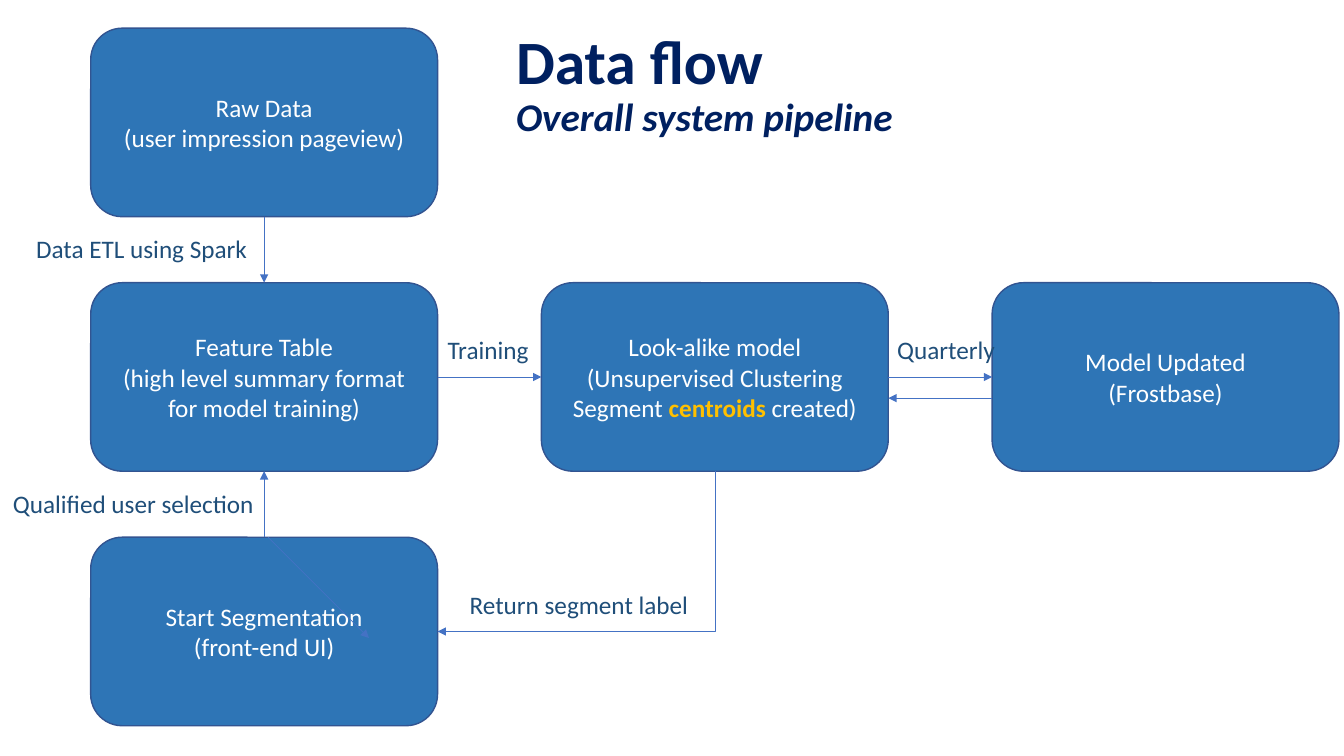
from pptx import Presentation
from pptx.dml.color import RGBColor
from pptx.enum.shapes import MSO_CONNECTOR, MSO_SHAPE
from pptx.enum.text import MSO_ANCHOR, MSO_AUTO_SIZE, PP_ALIGN
from pptx.oxml.ns import qn
from pptx.util import Inches, Pt
from lxml import etree

ROUNDED = MSO_SHAPE.ROUNDED_RECTANGLE
STRAIGHT, ELBOW = MSO_CONNECTOR.STRAIGHT, MSO_CONNECTOR.ELBOW
MIDDLE, CENTER = MSO_ANCHOR.MIDDLE, PP_ALIGN.CENTER
FIT = MSO_AUTO_SIZE.SHAPE_TO_FIT_TEXT

FONT = "Calibri"
COLORS = {"title": "002060", "box": "2E75B6", "edge": "325491", "white": "FFFFFF",
          "accent": "FFC000", "label": "1F4E79", "arrow": "4472C4"}

TITLE = [("Data flow", 44, False), ("Overall system pipeline", 28, True)]
ACCENT_WORD = "centroids"

# (column, row, paragraphs)
BOXES = [
    (2, 1, ["Model Updated", "(Frostbase)"]),
    (0, 0, ["Raw Data", "(user impression pageview)"]),
    (0, 1, ["Feature Table", "(high level summary format for model training)"]),
    (1, 1, ["Look-alike model", "(Unsupervised Clustering", "Segment centroids created)"]),
    (0, 2, ["Start Segmentation", "(front-end UI)"]),
]
# (text, left, top, width)
LABELS = [
    ("Qualified user selection", 0.03, 4.8, 2.62),
    ("Data ETL using Spark", 0.26, 2.27, 2.32),
    ("Training", 4.34, 3.27, 1.01),
    ("Quarterly", 8.8, 3.27, 1.18),
    ("Return segment label", 4.56, 5.8, 2.4),
]

BOX_W, BOX_H = 3.44, 1.87
COLS = [0.9 + 4.47 * i for i in range(3)]
ROWS = [0.28 + 2.525 * i for i in range(3)]
RIGHTS = [x + BOX_W for x in COLS]
BOTTOMS = [y + BOX_H for y in ROWS]
MID_X = [x + BOX_W / 2 for x in COLS]
MID_Y = [y + BOX_H / 2 for y in ROWS]
RETURN_Y = MID_Y[1] + 0.21

# (x1, y1, x2, y2), head at the second point
ARROWS = [
    (2.66, ROWS[2], 3.66, ROWS[2] + 1),
    (MID_X[0], ROWS[2], MID_X[0], BOTTOMS[1]),
    (MID_X[0], BOTTOMS[0], MID_X[0], ROWS[1]),
    (RIGHTS[0], MID_Y[1], COLS[1], MID_Y[1]),
    (RIGHTS[1], MID_Y[1], COLS[2], MID_Y[1]),
    (COLS[2], RETURN_Y, RIGHTS[1], RETURN_Y),
]


def rgb(name):
    """Return the named colour."""
    return RGBColor.from_string(COLORS[name])


def set_font(font, size, color, bold=None):
    """Set typeface, size, colour and weight."""
    font.name, font.size, font.bold = FONT, Pt(size), bold
    font.color.rgb = rgb(color)


def add_title(s):
    """Add the title and its subtitle on two lines."""
    tf = s.shapes.add_textbox(Inches(5.02), Inches(0.26), Inches(11.5), Inches(1.45)).text_frame
    tf.word_wrap = True
    p = tf.paragraphs[0]
    p.line_spacing = 0.9
    for i, (text, size, italic) in enumerate(TITLE):
        if i:
            p.add_line_break()
        r = p.add_run()
        r.text = text
        set_font(r.font, size, "title", True)
        r.font.italic = italic


def add_box(s, col, row, lines):
    """Add one pipeline step, colouring the accent word."""
    sp = s.shapes.add_shape(ROUNDED, Inches(COLS[col]), Inches(ROWS[row]),
                            Inches(BOX_W), Inches(BOX_H))
    sp.shadow.inherit = False
    sp.fill.solid()
    sp.fill.fore_color.rgb = rgb("box")
    sp.line.color.rgb = rgb("edge")
    sp.line.width = Pt(1)
    tf = sp.text_frame
    tf.word_wrap, tf.vertical_anchor = True, MIDDLE
    for i, line in enumerate(lines):
        p = tf.add_paragraph() if i else tf.paragraphs[0]
        p.alignment = CENTER
        set_font(p.font, 18, "white")
        for part in line.partition(ACCENT_WORD):
            if part:
                r = p.add_run()
                r.text = part
                accent = part == ACCENT_WORD
                set_font(r.font, 18, "accent" if accent else "white", accent)


def add_label(s, text, left, top, width):
    """Add the caption of an arrow."""
    tf = s.shapes.add_textbox(Inches(left), Inches(top), Inches(width), Inches(0.4)).text_frame
    tf.word_wrap, tf.auto_size = False, FIT
    p = tf.paragraphs[0]
    p.text = text
    set_font(p.font, 18, "label")


def add_arrow(s, x1, y1, x2, y2, kind=STRAIGHT):
    """Add a thin connector with a triangle at its end."""
    c = s.shapes.add_connector(kind, Inches(x1), Inches(y1), Inches(x2), Inches(y2))
    c.line.color.rgb = rgb("arrow")
    c.line.width = Pt(0.5)
    etree.SubElement(c.line._get_or_add_ln(), qn("a:tailEnd"), type="triangle")
    etree.SubElement(c._element.spPr, qn("a:effectLst"))
    return c


def add_corner_arrow(s, x1, y1, x2, y2):
    """Add an arrow that goes down, then left, as a quarter-turned elbow."""
    w, h = y2 - y1, x1 - x2
    left, top = (x1 + x2 - w) / 2, (y1 + y2 - h) / 2
    spPr = add_arrow(s, left, top, left + w, top + h, ELBOW)._element.spPr
    spPr.find(qn("a:xfrm")).set("rot", str(90 * 60000))
    spPr.find(qn("a:prstGeom")).set("prst", "bentConnector2")


prs = Presentation()
prs.slide_width, prs.slide_height = Inches(13.33), Inches(7.5)
s = prs.slides.add_slide(prs.slide_layouts[6])
add_title(s)
for box in BOXES:
    add_box(s, *box)
for arrow in ARROWS:
    add_arrow(s, *arrow)
add_corner_arrow(s, MID_X[1], BOTTOMS[1], RIGHTS[0], MID_Y[2])
for label in LABELS:
    add_label(s, *label)
prs.save("out.pptx")
